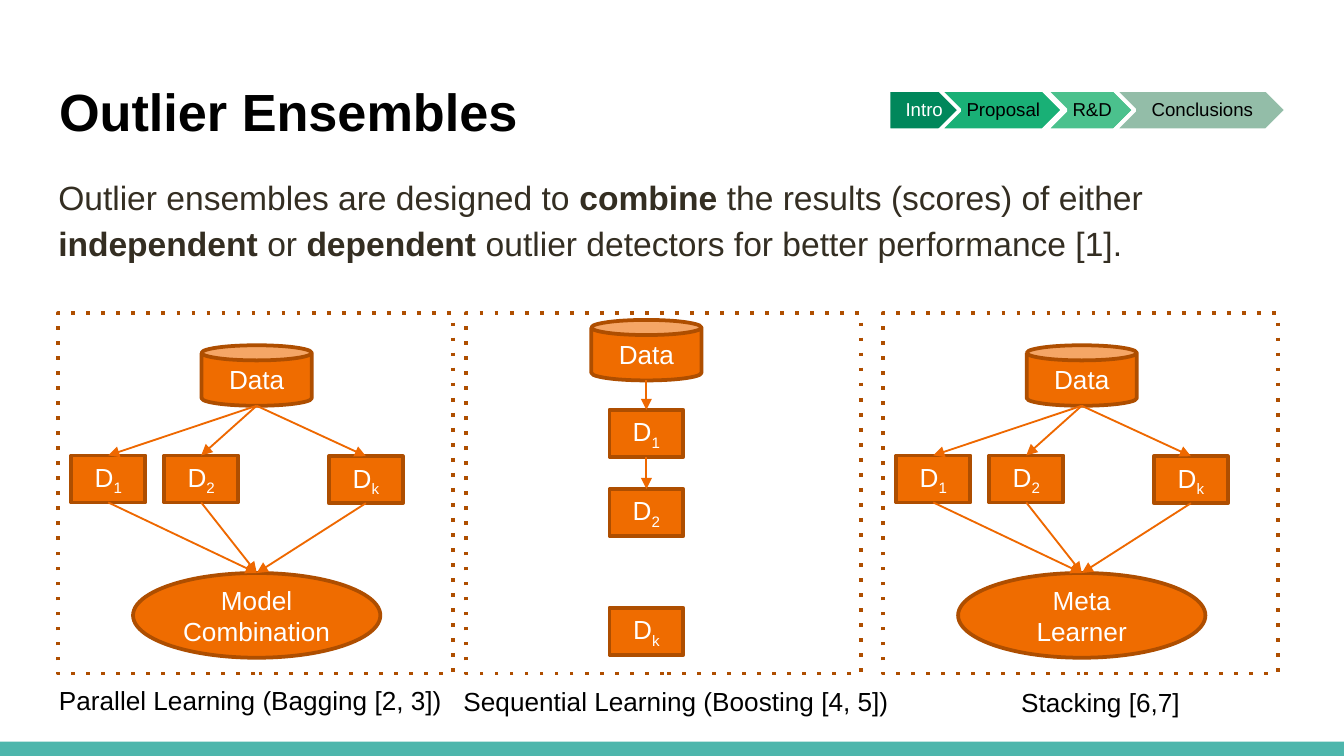
"""Build the slide that compares three ways of building outlier ensembles."""
from dataclasses import dataclass

from lxml.etree import SubElement
from pptx import Presentation
from pptx.dml.color import RGBColor
from pptx.enum.shapes import MSO_CONNECTOR as Connector, MSO_SHAPE as Shape
from pptx.enum.text import MSO_ANCHOR as Anchor, MSO_AUTO_SIZE as AutoSize, PP_ALIGN as Align
from pptx.oxml.ns import qn
from pptx.util import Pt


@dataclass(frozen=True)
class Theme:
    font: str = "Arial"
    black: str = "000000"
    white: str = "FFFFFF"
    body: str = "342E22"
    bar: str = "4DB6AC"
    node: str = "EF6C00"
    border: str = "AE4E00"
    arrow: str = "EE6800"
    steps: tuple = ("00875B", "19B076", "4BC18D", "93BDA8")
    title_size: int = 28
    body_size: int = 18
    label_size: int = 14
    step_size: int = 10


theme = Theme()


def write(shape, paragraphs, size, color, align=Align.LEFT, anchor=Anchor.TOP,
          margins=(7.2, 3.6, 7.2, 3.6), spacing=1.0):
    frame = shape.text_frame
    frame.word_wrap = True
    frame.auto_size = AutoSize.NONE
    frame.vertical_anchor = anchor
    frame.margin_left, frame.margin_top, frame.margin_right, frame.margin_bottom = map(Pt, margins)
    for index, runs in enumerate(paragraphs):
        paragraph = frame.add_paragraph() if index else frame.paragraphs[0]
        if shape.is_placeholder:
            properties = paragraph._p.get_or_add_pPr()
            properties.set("marL", "0")
            properties.set("indent", "0")
            SubElement(properties, qn("a:buNone"))
        paragraph.alignment = align
        paragraph.line_spacing = spacing
        paragraph.space_before = Pt(0)
        for text, style in runs:
            run = paragraph.add_run()
            run.text = text
            run.font.name = theme.font
            run.font.size = Pt(size)
            run.font.bold = style == "bold"
            run.font.color.rgb = RGBColor.from_string(color)
            if style == "subscript":
                run.font._element.set("baseline", "-25000")


def add_box(shapes, kind, left, top, width, height, fill=None, line=None):
    shape = shapes.add_shape(kind, Pt(left), Pt(top), Pt(width), Pt(height))
    shape.shadow.inherit = False
    if fill:
        shape.fill.solid()
        shape.fill.fore_color.rgb = RGBColor.from_string(fill)
    else:
        shape.fill.background()
    if line:
        shape.line.color.rgb = RGBColor.from_string(line)
        shape.line.width = Pt(2)
    else:
        shape.line.fill.background()
    return shape


presentation = Presentation()
presentation.slide_width, presentation.slide_height = Pt(720), Pt(405)
slide = presentation.slides.add_slide(presentation.slide_layouts[1])
add_box(slide.shapes, Shape.RECTANGLE, 0, 397.4, 720, 7.6, theme.bar)

title, body = slide.placeholders
title.left, title.top, title.width, title.height = Pt(24.5), Pt(35.3), Pt(671), Pt(55.4)
write(title, [[("Outlier Ensembles", "bold")]], theme.title_size, theme.black, margins=(7.2,) * 4)
body.left, body.top, body.width, body.height = Pt(24), Pt(84.2), Pt(671), Pt(56.2)
statement = [
    ("Outlier ensembles are designed to ", ""), ("combine", "bold"),
    (" the results (scores) of either ", ""), ("independent", "bold"),
    (" or ", ""), ("dependent", "bold"),
    (" outlier detectors for better performance [1].", ""),
]
write(body, [statement], theme.body_size, theme.body, margins=(7.2,) * 4, spacing=1.15)

captions = [
    ("Parallel Learning (Bagging [2, 3])", 24.5, 362.9, 234),
    ("Sequential Learning (Boosting [4, 5])", 241.2, 363.6, 272.2),
    ("Stacking [6,7]", 540, 364.3, 175),
]
for text, left, top, width in captions:
    caption = slide.shapes.add_textbox(Pt(left), Pt(top), Pt(width), Pt(24.5))
    write(caption, [[(text, "")]], theme.label_size, theme.black)

forms = {"Data": (Shape.CAN, 59, 32.4), "Result": (Shape.OVAL, 132.5, 45.4)}
detector_form = (Shape.RECTANGLE, 39.6, 25.2)
detectors = ("1", "2", "k")
tree = {"Data": (77, 185), "1": (7.2, 244), "2": (57, 244), "k": (145.2, 244.4),
        "Result": (40.3, 307)}
tree_links = [("Data", name) for name in detectors] + [(name, "Result") for name in detectors]
chain = {"Data": (67, 171.4), "1": (76.7, 219.6), "2": (76.7, 262), "k": (76.7, 325.6)}
chain_links = [("Data", "1"), ("1", "2")]
panels = [
    (31, tree, tree_links, ["Model", "Combination"]),
    (249.8, chain, chain_links, []),
    (473, tree, tree_links, ["Meta Learner"]),
]
for panel_left, places, links, result in panels:
    shapes = slide.shapes.add_group_shape().shapes
    panel = add_box(shapes, Shape.RECTANGLE, panel_left, 167.8, 211.5, 193, line=theme.border)
    SubElement(panel.line._get_or_add_ln(), qn("a:prstDash")).set("val", "dot")
    nodes = {}
    for name, (left, top) in places.items():
        kind, width, height = forms.get(name, detector_form)
        node = add_box(shapes, kind, panel_left + left, top, width, height, theme.node, theme.border)
        if name in detectors:
            paragraphs = [[("D", ""), (name, "subscript")]]
        else:
            paragraphs = [[(text, "")] for text in (result if name == "Result" else [name])]
        write(node, paragraphs, theme.label_size, theme.white, Align.CENTER, Anchor.MIDDLE)
        nodes[name] = node
    for start, end in links:
        source, target = nodes[start], nodes[end]
        arrow = shapes.add_connector(
            Connector.STRAIGHT, source.left + source.width // 2, source.top + source.height,
            target.left + target.width // 2, target.top)
        arrow.line.color.rgb = RGBColor.from_string(theme.arrow)
        arrow.line.width = Pt(1)
        SubElement(arrow.line._get_or_add_ln(), qn("a:tailEnd")).set("type", "triangle")
        SubElement(arrow._element.spPr, qn("a:effectLst"))

steps = [
    ("Intro", Shape.PENTAGON, 476, 39.6, 476, 34.6, theme.white),
    ("Proposal", Shape.CHEVRON, 503.3, 66.2, 514, 44.8, theme.black),
    ("R&D", Shape.CHEVRON, 560.2, 47.5, 571, 26, theme.black),
    ("Conclusions", Shape.CHEVRON, 597, 92.2, 607.7, 70.6, theme.black),
]
step_top, step_height = 48.2, 21.6
shapes = slide.shapes.add_group_shape().shapes
for (text, kind, left, width, text_left, text_width, color), fill in zip(steps, theme.steps):
    add_box(shapes, kind, left, step_top, width, step_height, fill, theme.white)
    label = shapes.add_textbox(Pt(text_left), Pt(step_top), Pt(text_width), Pt(step_height))
    inset = 4.3 if kind == Shape.PENTAGON else 2.9
    write(label, [[(text, "")]], theme.step_size, color, Align.CENTER, Anchor.MIDDLE,
          (inset, 2.2, 0.7, 2.2), 0.9)

presentation.save("out.pptx")
